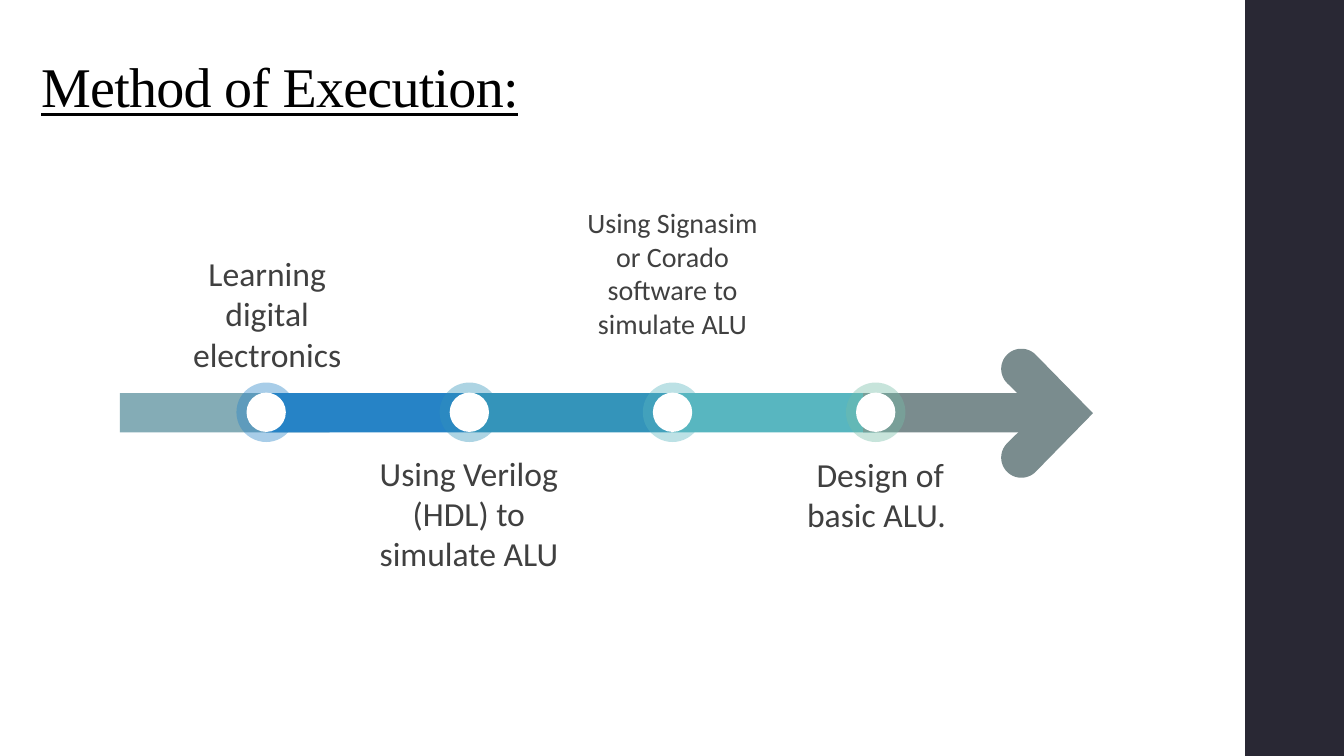
from dataclasses import dataclass
from math import cos, radians, sin

from lxml.etree import SubElement
from pptx import Presentation
from pptx.dml.color import RGBColor
from pptx.enum.shapes import MSO_SHAPE as Kind
from pptx.enum.text import MSO_ANCHOR as Anchor, PP_ALIGN as Align
from pptx.oxml.ns import qn
from pptx.shapes.autoshape import Shape
from pptx.util import Inches, Pt


@dataclass(frozen=True)
class Theme:
    head: str = "Times New Roman"
    body: str = "Calibri"
    title: int = 40
    large: int = 24
    small: int = 20
    black: str = "000000"
    text: str = "404040"
    white: str = "FFFFFF"
    side: str = "292834"
    start: str = "84ACB6"
    blue: str = "2683C6"
    sea: str = "3494BA"
    teal: str = "58B6C0"
    green: str = "75BDA7"
    end: str = "7A8C8E"


@dataclass(frozen=True)
class Bar:
    left: float
    width: float
    color: str


@dataclass(frozen=True)
class Step:
    text: str
    mid: float
    top: float
    high: float
    size: int
    color: str


look = Theme()
AXIS = 4.09
FIRST, GAP = 2.64, 2.015
RING, DOT = 0.59, 0.39
WIDE = 2.12

BARS = (
    Bar(1.19, 2.08, look.start),
    Bar(2.64, 2.01, look.blue),
    Bar(4.65, 2.01, look.sea),
    Bar(6.67, 2.01, look.teal),
    Bar(8.56, 2.01, look.end),
)
STEPS = (
    Step("Learning digital electronics", 2.65, 2.46, 1.31, look.large, look.blue),
    Step("Using Verilog (HDL) to simulate ALU", 4.65, 4.44, 1.31, look.large, look.sea),
    Step("Using Signasim or Corado software to simulate ALU",
         6.67, 1.99, 1.78, look.small, look.teal),
    Step("Design of basic ALU. ", 8.73, 4.45, 0.91, look.large, look.green),
)

deck = Presentation()
deck.slide_width, deck.slide_height = Inches(13.33), Inches(7.5)
slide = deck.slides.add_slide(deck.slide_layouts[6])


def paint(shape: Shape, color: str, alpha: int = 100) -> None:
    shape.shadow.inherit = False
    shape.fill.solid()
    shape.fill.fore_color.rgb = RGBColor.from_string(color)
    shape.line.fill.background()
    if alpha < 100:
        tint = shape.fill._xPr.find(".//" + qn("a:srgbClr"))
        SubElement(tint, qn("a:alpha")).set("val", str(alpha * 1000))


def block(left: float, top: float, width: float, high: float, color: str) -> None:
    paint(slide.shapes.add_shape(Kind.RECTANGLE, Inches(left), Inches(top),
                                 Inches(width), Inches(high)), color)


def disc(mid: float, size: float, color: str, alpha: int = 100) -> None:
    paint(slide.shapes.add_shape(Kind.OVAL, Inches(mid - size / 2), Inches(AXIS - size / 2),
                                 Inches(size), Inches(size)), color, alpha)


def write(text: str, left: float, top: float, width: float, high: float,
          font: str, size: int, color: str, align: Align):
    box = slide.shapes.add_textbox(Inches(left), Inches(top), Inches(width), Inches(high))
    frame = box.text_frame
    frame.word_wrap = True
    para = frame.paragraphs[0]
    para.alignment = align
    run = para.add_run()
    run.text = text
    run.font.name, run.font.size = font, Pt(size)
    run.font.color.rgb = RGBColor.from_string(color)
    return frame, para, run


def arc(x: float, y: float, start: int, stop: int) -> list[tuple[float, float]]:
    turn = 6 if stop > start else -6
    return [(x + 0.2 * cos(radians(a)), y + 0.2 * sin(radians(a)))
            for a in range(start, stop + turn, turn)]


def tip() -> None:
    x, y, rise = 10.13, 4.1, 0.44
    points = [*arc(x, y - rise, -45, -225), (10.29, y),
              *arc(x, y + rise, 225, 45), (10.84, y)]
    pen = slide.shapes.build_freeform(Inches(points[0][0]), Inches(points[0][1]))
    pen.add_line_segments([(Inches(a), Inches(b)) for a, b in points[1:]], close=True)
    paint(pen.convert_to_shape(), look.end)


# Side band
block(12.35, 0, 0.98, 7.5, look.side)

# Arrow
for bar in BARS:
    block(bar.left, 3.9, bar.width, 0.39, bar.color)
tip()

# Steps
for i, step in enumerate(STEPS):
    disc(FIRST + i * GAP, RING, step.color, 40)
    disc(FIRST + i * GAP, DOT, look.white)
    write(step.text, step.mid - WIDE / 2, step.top, WIDE, step.high,
          look.body, step.size, look.text, Align.CENTER)

# Title
frame, para, run = write("Method of Execution:", 0.31, 0.46, 10.6, 0.78,
                         look.head, look.title, look.black, Align.LEFT)
frame.vertical_anchor = Anchor.BOTTOM
para.line_spacing = 0.9
run.font.underline = True
run.font._element.set("spc", "-50")

deck.save("out.pptx")
